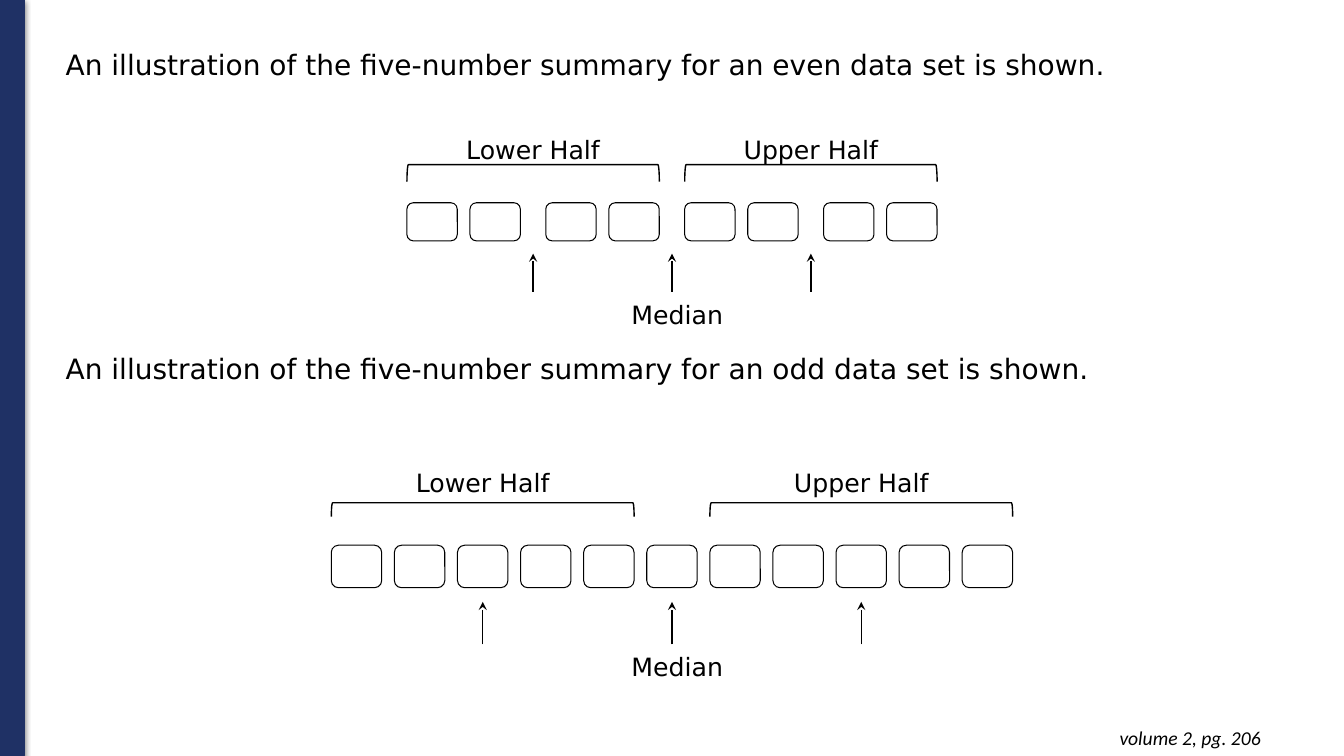
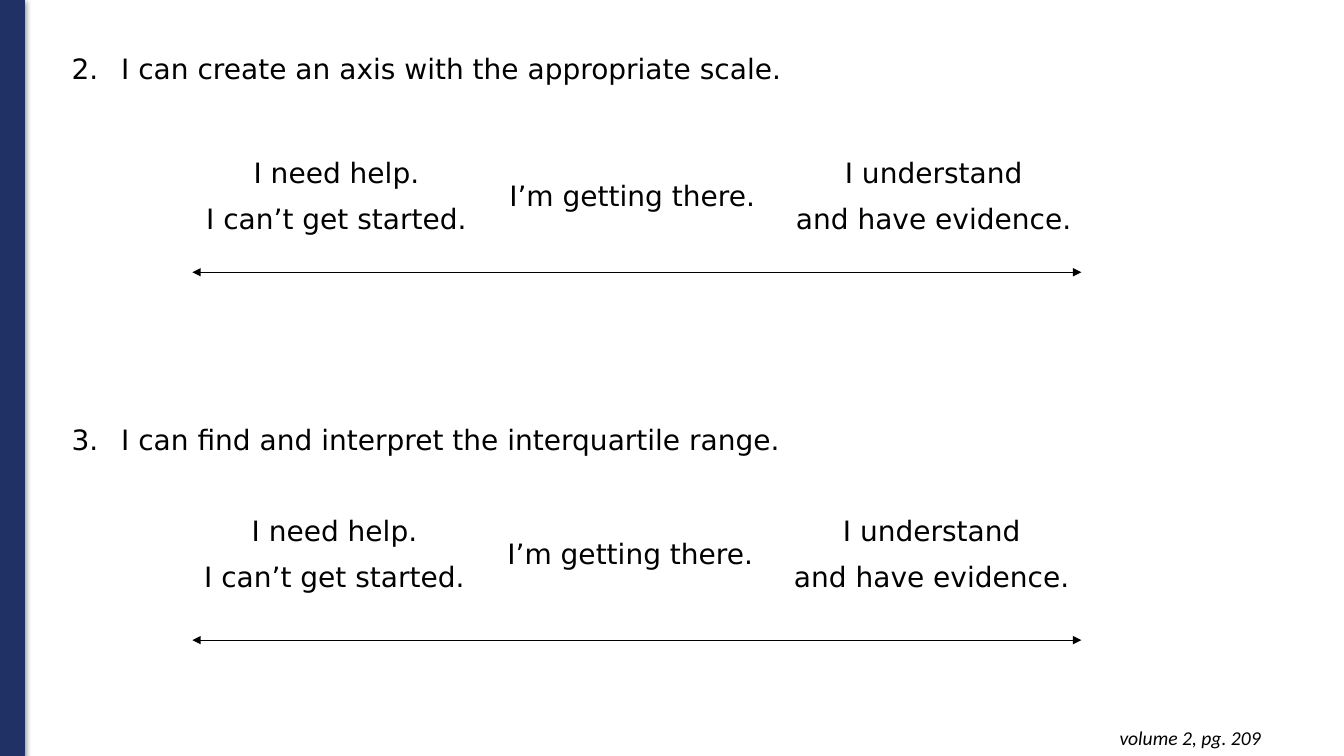
from itertools import accumulate

from lxml.etree import SubElement
from pptx import Presentation
from pptx.dml.color import RGBColor
from pptx.enum.shapes import MSO_CONNECTOR, MSO_SHAPE
from pptx.enum.text import MSO_ANCHOR, MSO_AUTO_SIZE, PP_ALIGN
from pptx.oxml.ns import qn
from pptx.util import Cm, Pt

BLACK = "000000"
NAVY = "1F3165"
BODY_FONT = "DejaVu Sans"
FOOTER_FONT = "Calibri"
SLIDE_WIDTH, SLIDE_HEIGHT = 33.87, 19.05
BOX_WIDTH, BOX_GAP = 1.27, 0.32
LABEL_WIDTH = 5.72
PLAIN_TABLE_STYLE = "{2D5ABB26-0587-4C30-8999-92F81FD0307C}"


def paint(fill, color):
    """Give a fill one solid colour."""
    fill.solid()
    fill.fore_color.rgb = RGBColor.from_string(color)


def add_element(parent, tag, **attributes):
    """Append a drawing element and return it."""
    return SubElement(parent, qn(tag), attributes)


def middle(values):
    """Return the median of a sorted list."""
    count = len(values)
    return (values[(count - 1) // 2] + values[count // 2]) / 2


class Deck:
    """Holds the style and the current slide."""

    def __init__(self):
        """Start an empty presentation."""
        self.presentation = Presentation()
        self.presentation.slide_width = Cm(SLIDE_WIDTH)
        self.presentation.slide_height = Cm(SLIDE_HEIGHT)
        self.slide = None

    def start_slide(self, footer):
        """Add a slide with the side band and the page reference."""
        self.slide = self.presentation.slides.add_slide(self.presentation.slide_layouts[1])
        title = self.slide.shapes.title
        title.element.getparent().remove(title.element)
        band = self.shape(MSO_SHAPE.RECTANGLE, 0, 0, 0.61, SLIDE_HEIGHT, NAVY, 0.75)
        paint(band.fill, NAVY)
        effects = band.element.spPr.find(qn("a:effectLst"))
        shadow = add_element(effects, "a:outerShdw", blurRad=str(Pt(4.5)), dist=str(Pt(1.5)),
                             dir="5400000", algn="t", rotWithShape="0")
        color = add_element(shadow, "a:srgbClr", val=BLACK)
        add_element(color, "a:alpha", val="50000")
        frame = self.text_box(20.32, 18.03, 11.71, 1.12, 0.25)
        self.add_text(frame.paragraphs[0], footer, 14, PP_ALIGN.RIGHT, FOOTER_FONT, True)

    def shape(self, kind, left, top, width, height, color=BLACK, weight=1.0):
        """Add an outlined shape without fill or shadow."""
        shape = self.slide.shapes.add_shape(kind, Cm(left), Cm(top), Cm(width), Cm(height))
        shape.shadow.inherit = False
        shape.fill.background()
        paint(shape.line.fill, color)
        shape.line.width = Pt(weight)
        return shape

    def text_box(self, left, top, width, height, margin=0.13):
        """Add a wrapping text box and return its text frame."""
        shape = self.slide.shapes.add_textbox(Cm(left), Cm(top), Cm(width), Cm(height))
        frame = shape.text_frame
        frame.word_wrap = True
        frame.margin_top = frame.margin_bottom = Cm(margin)
        return frame

    def add_text(self, paragraph, text, size, alignment=PP_ALIGN.LEFT, font=BODY_FONT, italic=False):
        """Add one styled run to a paragraph."""
        paragraph.alignment = alignment
        run = paragraph.add_run()
        run.text = text
        run.font.name = font
        run.font.size = Pt(size)
        run.font.italic = italic
        paint(run.font.fill, BLACK)

    def add_loose_text(self, paragraph, text, size, alignment):
        """Add text with the wider spacing of labels."""
        paragraph.line_spacing = 1.07
        paragraph.space_after = Pt(8)
        self.add_text(paragraph, text, size, alignment)

    def statements(self, texts, left, top, width, gap, first_number=None):
        """Fill the body placeholder with spaced statements, numbered on request."""
        body = self.slide.placeholders[1]
        body.left, body.top, body.width, body.height = Cm(left), Cm(top), Cm(width), Cm(15.65)
        frame = body.text_frame
        frame.auto_size = MSO_AUTO_SIZE.NONE
        for index, text in enumerate(texts):
            paragraph = frame.add_paragraph() if index else frame.paragraphs[0]
            properties = paragraph._p.get_or_add_pPr()
            indent = Cm(1.25) if first_number else 0
            properties.set("marL", str(indent))
            properties.set("indent", str(-indent))
            if first_number:
                color = add_element(properties, "a:buClr")
                add_element(color, "a:srgbClr", val=BLACK)
                add_element(properties, "a:buFont", typeface=BODY_FONT)
                add_element(properties, "a:buAutoNum", type="arabicPeriod", startAt=str(first_number))
            else:
                add_element(properties, "a:buNone")
            paragraph.space_before = Cm(gap) if index else Pt(0)
            self.add_text(paragraph, text, 20)

    def line(self, start, end, weight, tail, head=None):
        """Add a straight line with arrowheads."""
        connector = self.slide.shapes.add_connector(
            MSO_CONNECTOR.STRAIGHT, *(Cm(value) for value in (*start, *end)))
        paint(connector.line.fill, BLACK)
        connector.line.width = Pt(weight)
        outline = connector.element.spPr.find(qn("a:ln"))
        if head:
            add_element(outline, "a:headEnd", type=head)
        add_element(outline, "a:tailEnd", type=tail)
        add_element(connector.element.spPr, "a:effectLst")

    def label(self, text, left, top, width, alignment):
        """Add a diagram label."""
        frame = self.text_box(left, top, width, 1.1)
        self.add_loose_text(frame.paragraphs[0], text, 18, alignment)

    def bracket(self, left, top, width, depth):
        """Add a bracket that opens downwards."""
        shape = self.shape(MSO_SHAPE.LEFT_BRACKET, left + (width - depth) / 2,
                           top + (depth - width) / 2, depth, width)
        shape.rotation = 90

    def five_number_diagram(self, groups, top, height, depth):
        """Draw groups of data boxes with their halves, quartiles and median."""
        gaps = [BOX_GAP * (2 if box == 0 and group else 1)
                for group, size in enumerate(groups) for box in range(size)][1:]
        offsets = list(accumulate((BOX_WIDTH + gap for gap in gaps), initial=0))
        start = (SLIDE_WIDTH - offsets[-1] - BOX_WIDTH) / 2
        lefts = [start + offset for offset in offsets]
        for left in lefts:
            self.shape(MSO_SHAPE.ROUNDED_RECTANGLE, left, top, BOX_WIDTH, height, weight=0.75)
        half = len(lefts) // 2
        lower, upper = lefts[:half], lefts[-half:]
        for name, boxes in (("Lower Half", lower), ("Upper Half", upper)):
            width = boxes[-1] + BOX_WIDTH - boxes[0]
            self.bracket(boxes[0], top - height, width, depth)
            self.label(name, boxes[0] + (width - LABEL_WIDTH) / 2, top - 2 * height,
                       LABEL_WIDTH, PP_ALIGN.CENTER)
        arrow_top = top + height * 4 / 3
        arrow_bottom = arrow_top + height
        for boxes in (lower, lefts, upper):
            center = middle(boxes) + BOX_WIDTH / 2
            self.line((center, arrow_bottom), (center, arrow_top), 1, "stealth")
        self.label("Median", middle(lefts) - BOX_WIDTH / 2, arrow_bottom, 3.2, PP_ALIGN.LEFT)

    def rating_table(self, columns, widths, left, top):
        """Add a one-row table of rating descriptions."""
        frame = self.slide.shapes.add_table(1, len(columns), Cm(left), Cm(top), Cm(sum(widths)), Cm(2.08))
        table = frame.table
        table.first_row = table.horz_banding = False
        table._tbl.tblPr.find(qn("a:tableStyleId")).text = PLAIN_TABLE_STYLE
        for index, (lines, width) in enumerate(zip(columns, widths)):
            table.columns[index].width = Cm(width)
            cell = table.cell(0, index)
            cell.fill.background()
            cell.vertical_anchor = MSO_ANCHOR.MIDDLE
            cell.margin_left = cell.margin_right = Cm(0.18)
            cell.margin_top = cell.margin_bottom = 0
            for number, text in enumerate(lines):
                paragraph = cell.text_frame.add_paragraph() if number else cell.text_frame.paragraphs[0]
                self.add_loose_text(paragraph, text, 20, PP_ALIGN.CENTER)


def main():
    """Build and save the two slides."""
    deck = Deck()

    deck.start_slide("volume 2, pg. 206")
    deck.statements([f"An illustration of the five-number summary for an {kind} data set is shown."
                     for kind in ("even", "odd")], 1.4, 1.07, 27.1, 6.81)
    deck.five_number_diagram([2, 2, 2, 2], 5.11, 0.96, 0.43)
    deck.five_number_diagram([11], 13.74, 1.07, 0.35)

    deck.start_slide("volume 2, pg. 209")
    deck.statements(["I can create an axis with the appropriate scale.",
                     "I can find and interpret the interquartile range."], 1.55, 1.17, 25.7, 8.5, 2)
    ratings = [["I need help.", "I can’t get started."],
               ["I’m getting there."],
               ["I understand", "and have evidence."]]
    for table_left, table_top, axis in ((4.9, 3.89, 6.86), (4.85, 12.9, 16.13)):
        deck.rating_table(ratings, [7.16, 7.75, 7.44], table_left, table_top)
        deck.line((4.85, axis), (27.25, axis), 0.75, "triangle", "triangle")

    deck.presentation.save("out.pptx")


if __name__ == "__main__":
    main()
